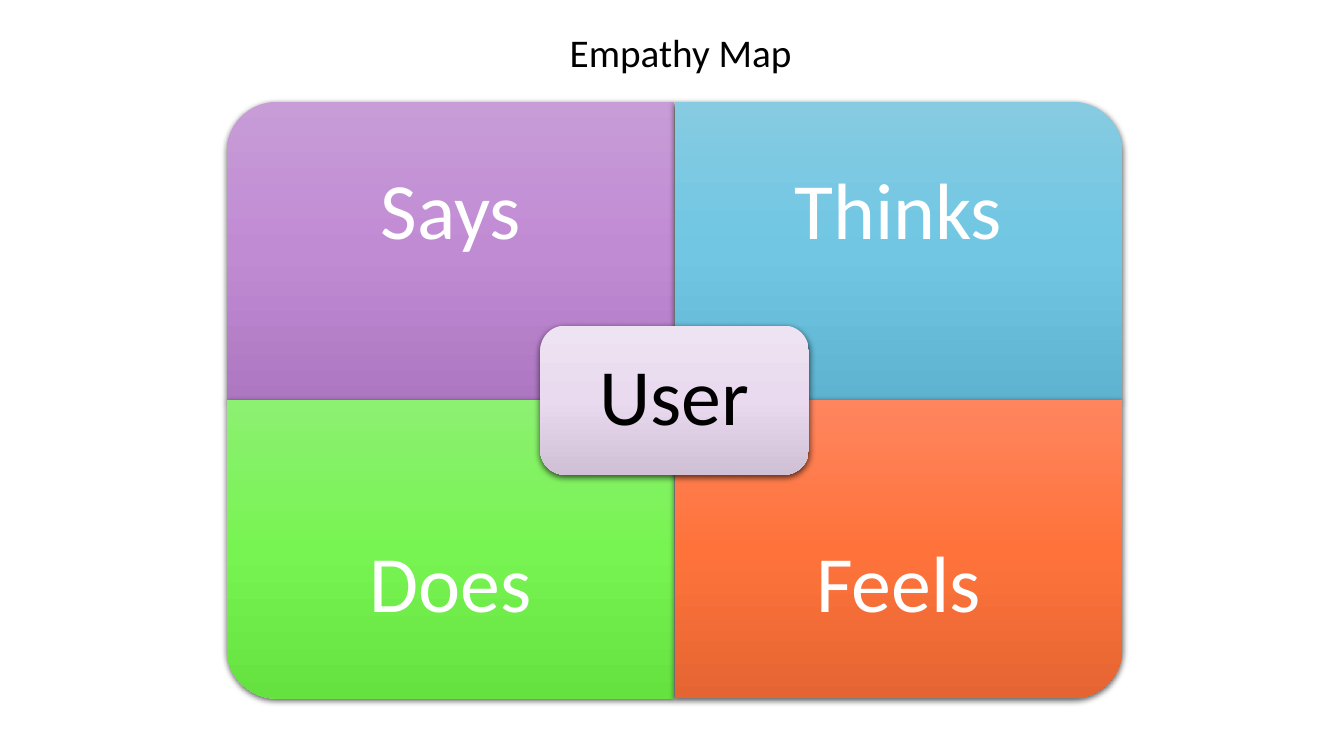
from dataclasses import dataclass

from pptx import Presentation
from pptx.dml.color import RGBColor
from pptx.enum.shapes import MSO_SHAPE
from pptx.enum.text import MSO_ANCHOR, PP_ALIGN
from pptx.oxml import parse_xml
from pptx.oxml.ns import nsdecls
from pptx.shapes.base import BaseShape
from pptx.slide import Slide
from pptx.util import Inches, Pt

PANEL_SHAPE = MSO_SHAPE.ROUND_1_RECTANGLE
CENTRE_SHAPE = MSO_SHAPE.ROUNDED_RECTANGLE
CENTER = PP_ALIGN.CENTER
MIDDLE = MSO_ANCHOR.MIDDLE
TOP = MSO_ANCHOR.TOP

UNIT = 0.74  # side of one grid square, in inches
MAP_LEFT, MAP_TOP = 2.25, 1.01
PANEL_COLUMNS, PANEL_ROWS = 6, 4
LABEL_ROWS = 3
LABEL_SIZE, TITLE_SIZE = 57, 28


@dataclass(frozen=True)
class Box:
    """A rectangle in grid units, measured from the map's top left corner."""
    column: float
    row: float
    columns: float
    rows: float

    def inches(self) -> tuple[int, int, int, int]:
        return (Inches(MAP_LEFT + self.column * UNIT), Inches(MAP_TOP + self.row * UNIT),
                Inches(self.columns * UNIT), Inches(self.rows * UNIT))

    def turned(self) -> "Box":
        """Swap the sides about the same centre, ready for a quarter turn."""
        shift = (self.columns - self.rows) / 2
        return Box(self.column + shift, self.row - shift, self.rows, self.columns)


@dataclass(frozen=True)
class Quadrant:
    label: str
    column: int
    row: int
    rotation: int
    colours: tuple[str, str, str]


QUADRANTS = [
    Quadrant("Says", 0, 0, 270, ("C79CD7", "C18BD4", "AD77C1")),
    Quadrant("Thinks", 1, 0, 0, ("86CBE2", "70C6E3", "5DB3D0")),
    Quadrant("Does", 0, 1, 180, ("8CF071", "78F452", "66E240")),
    Quadrant("Feels", 1, 1, 90, ("FF855E", "FF733B", "E56532")),
]
USER_BOX = Box(4.2, 3, 3.6, 2)
USER_COLOURS = ("EDE3F2", "E9DAEF", "CFC0D6")


def colour(value: str) -> RGBColor:
    return RGBColor.from_string(value)


def write(shape: BaseShape, text: str, size: int, text_colour: str,
          inset: float, anchor: MSO_ANCHOR, line_spacing: float) -> None:
    frame = shape.text_frame
    margins = dict.fromkeys(("margin_left", "margin_right", "margin_top", "margin_bottom"), Inches(inset))
    for name, value in {"word_wrap": True, "vertical_anchor": anchor, **margins}.items():
        setattr(frame, name, value)
    paragraph = frame.paragraphs[0]
    paragraph.text = text
    for name, value in {"alignment": CENTER, "line_spacing": line_spacing}.items():
        setattr(paragraph, name, value)
    for name, value in {"name": "Calibri", "size": Pt(size)}.items():
        setattr(paragraph.font, name, value)
    paragraph.font.color.rgb = colour(text_colour)


def add_panel(slide: Slide, kind: MSO_SHAPE, box: Box, colours: tuple[str, str, str],
              rotation: int = 0) -> BaseShape:
    """Add a shape with a downward gradient and shadow that ignore its rotation."""
    shape = slide.shapes.add_shape(kind, *box.inches())
    shape.rotation = rotation
    stops = "".join(f'<a:gs pos="{index * 50000}"><a:srgbClr val="{value}"/></a:gs>'
                    for index, value in enumerate(colours))
    properties = shape._element.spPr
    properties.append(parse_xml(
        f'<a:gradFill {nsdecls("a")} rotWithShape="0"><a:gsLst>{stops}</a:gsLst>'
        '<a:lin ang="5400000" scaled="0"/></a:gradFill>'))
    shape.line.fill.background()
    properties.append(parse_xml(
        f'<a:effectLst {nsdecls("a")}><a:outerShdw blurRad="{Pt(4.5)}" dist="{Pt(1.5)}" '
        'dir="5400000" algn="ctr" rotWithShape="0"><a:srgbClr val="000000">'
        '<a:alpha val="63000"/></a:srgbClr></a:outerShdw></a:effectLst>'))
    return shape


def add_quadrant(slide: Slide, quadrant: Quadrant) -> None:
    column, row = quadrant.column * PANEL_COLUMNS, quadrant.row * PANEL_ROWS
    box = Box(column, row, PANEL_COLUMNS, PANEL_ROWS)
    if quadrant.rotation % 180:
        box = box.turned()
    add_panel(slide, PANEL_SHAPE, box, quadrant.colours, quadrant.rotation)
    label_row = row + quadrant.row * (PANEL_ROWS - LABEL_ROWS)
    label_box = Box(column, label_row, PANEL_COLUMNS, LABEL_ROWS)
    label = slide.shapes.add_textbox(*label_box.inches())
    write(label, quadrant.label, LABEL_SIZE, "FFFFFF", 0.44, MIDDLE, 0.9)


def main() -> None:
    presentation = Presentation()
    presentation.slide_width, presentation.slide_height = Inches(13.33), Inches(7.5)
    slide = presentation.slides.add_slide(presentation.slide_layouts[6])
    for quadrant in QUADRANTS:
        add_quadrant(slide, quadrant)
    user = add_panel(slide, CENTRE_SHAPE, USER_BOX, USER_COLOURS)
    write(user, "User", LABEL_SIZE, "000000", 0.24, MIDDLE, 0.9)
    title = slide.shapes.add_textbox(Inches(2.7), Inches(0.23), Inches(8.1), Inches(0.57))
    write(title, "Empathy Map", TITLE_SIZE, "000000", 0.05, TOP, 1.0)
    presentation.save("out.pptx")


if __name__ == "__main__":
    main()
